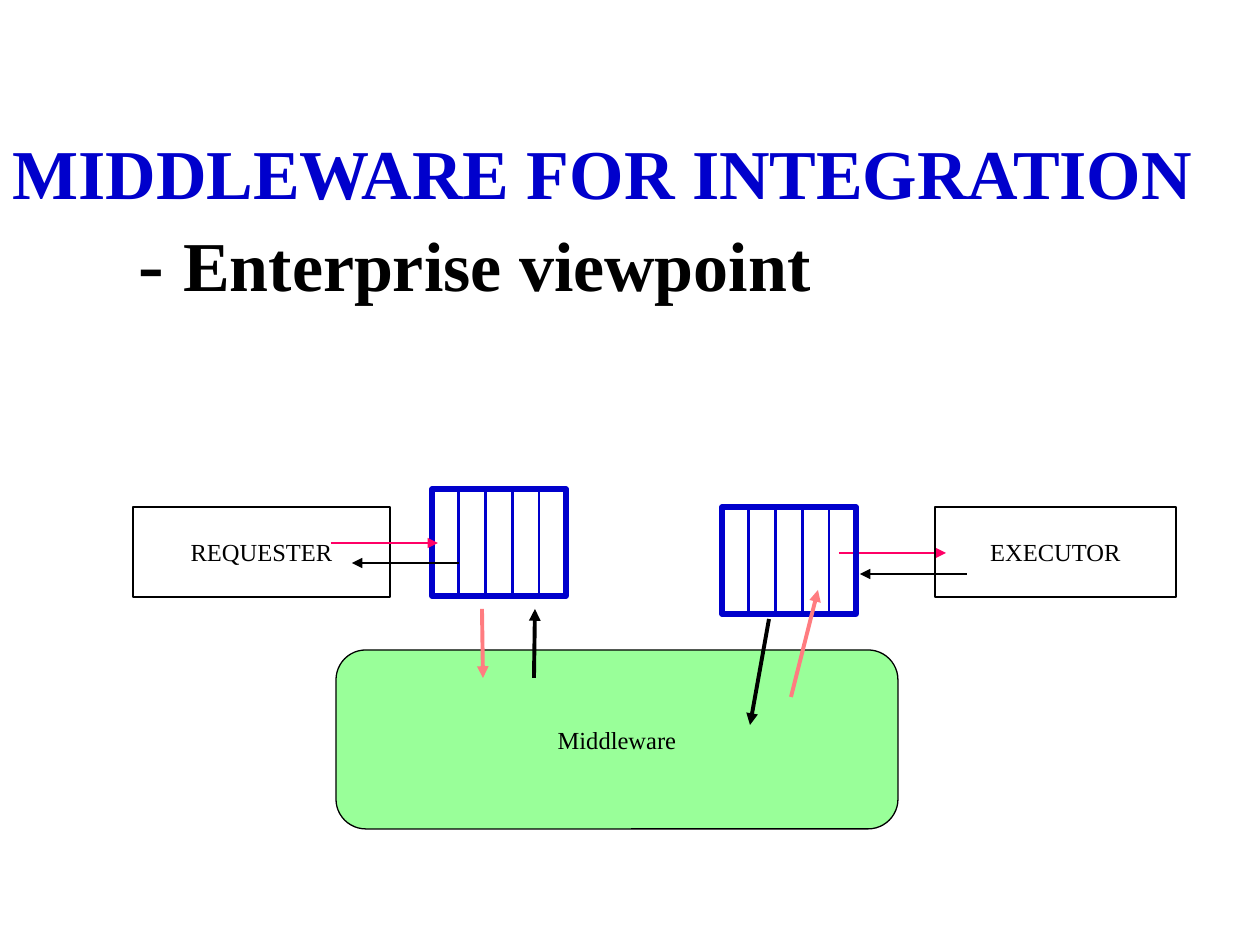
from lxml.etree import SubElement
from pptx import Presentation
from pptx.dml.color import RGBColor
from pptx.enum.shapes import MSO_CONNECTOR, MSO_SHAPE
from pptx.enum.text import MSO_ANCHOR, MSO_AUTO_SIZE, PP_ALIGN
from pptx.oxml.ns import qn
from pptx.util import Emu, Inches, Pt

BLUE = RGBColor(0x00, 0x00, 0xCC)
BLACK = RGBColor(0x00, 0x00, 0x00)
MAGENTA = RGBColor(0xFF, 0x00, 0x66)
SALMON = RGBColor(0xFF, 0x7C, 0x80)
GREEN = RGBColor(0x99, 0xFF, 0x99)

PX_PER_INCH = 126
QUEUE_WIDTH, QUEUE_HEIGHT, QUEUE_CELLS = 134, 107, 5


def px(length):
    return Emu(round(length * Inches(1) / PX_PER_INCH))


class Diagram:
    font_name = "Times New Roman"
    label_size = 14

    def __init__(self, slide):
        self.slide = slide

    def format_run(self, run, size, color, bold=False):
        run.font.name = self.font_name
        run.font.size = Pt(size)
        run.font.bold = bold
        run.font.color.rgb = color

    def title(self, left, top, width, height, parts):
        """Add one paragraph whose parts are (text, size, color)."""
        box = self.slide.shapes.add_textbox(px(left), px(top), px(width), px(height))
        text_frame = box.text_frame
        text_frame.word_wrap = True
        text_frame.auto_size = MSO_AUTO_SIZE.SHAPE_TO_FIT_TEXT
        paragraph = text_frame.paragraphs[0]
        tab_list = SubElement(paragraph._p.get_or_add_pPr(), qn("a:tabLst"))
        for inch in range(8):
            SubElement(tab_list, qn("a:tab"), pos=str(Inches(inch)), algn="l")
        for text, size, color in parts:
            run = paragraph.add_run()
            run.text = text
            self.format_run(run, size, color, bold=True)

    def outline(self, shapes, kind, left, top, width, height, color, weight):
        shape = shapes.add_shape(kind, px(left), px(top), px(width), px(height))
        shape.shadow.inherit = False
        shape.fill.background()
        shape.line.color.rgb = color
        shape.line.width = Pt(weight)
        return shape

    def box(self, kind, left, top, width, height, label, weight=1.5, fill=None):
        shape = self.outline(self.slide.shapes, kind, left, top, width, height, BLACK, weight)
        if fill is not None:
            shape.fill.solid()
            shape.fill.fore_color.rgb = fill
        text_frame = shape.text_frame
        text_frame.text = label
        text_frame.word_wrap = False
        text_frame.vertical_anchor = MSO_ANCHOR.MIDDLE
        paragraph = text_frame.paragraphs[0]
        paragraph.alignment = PP_ALIGN.CENTER
        self.format_run(paragraph.runs[0], self.label_size, BLACK)

    def line(self, shapes, start, end, color, weight):
        connector = shapes.add_connector(
            MSO_CONNECTOR.STRAIGHT, *(px(value) for value in (*start, *end)))
        connector.line.color.rgb = color
        connector.line.width = Pt(weight)
        SubElement(connector._element.spPr, qn("a:effectLst"))
        return connector

    def arrow(self, start, end, color, weight=1.5):
        connector = self.line(self.slide.shapes, start, end, color, weight)
        SubElement(connector.line._get_or_add_ln(), qn("a:tailEnd"), type="triangle")

    def queue(self, left, top):
        """Add a grouped rectangle split into equal cells."""
        shapes = self.slide.shapes.add_group_shape().shapes
        self.outline(shapes, MSO_SHAPE.RECTANGLE, left, top,
                     QUEUE_WIDTH, QUEUE_HEIGHT, BLUE, 3)
        for cell in range(1, QUEUE_CELLS):
            x = left + cell * QUEUE_WIDTH / QUEUE_CELLS
            self.line(shapes, (x, top), (x, top + QUEUE_HEIGHT), BLUE, 1.5)


def main():
    presentation = Presentation()
    presentation.slide_width = Inches(10)
    presentation.slide_height = Inches(7.5)
    diagram = Diagram(presentation.slides.add_slide(presentation.slide_layouts[6]))

    diagram.title(0, 116, 1260, 198, [
        ("MIDDLEWARE FOR INTEGRATION", 40, BLUE),
        (" \t\t\t- ", 44, BLACK),
        ("Enterprise viewpoint", 40, BLACK),
    ])

    diagram.arrow((839, 553), (946, 553), MAGENTA)
    diagram.box(MSO_SHAPE.FLOWCHART_PROCESS, 133, 507, 257, 90, "REQUESTER")
    diagram.queue(432, 489)
    diagram.arrow((331, 543), (438, 543), MAGENTA)
    diagram.box(MSO_SHAPE.FLOWCHART_PROCESS, 935, 507, 241, 90, "EXECUTOR")
    diagram.queue(722, 507)
    diagram.arrow((967, 574), (860, 574), BLACK)
    diagram.arrow((459, 563), (352, 563), BLACK)

    diagram.box(MSO_SHAPE.FLOWCHART_ALTERNATE_PROCESS, 336, 650, 562, 179,
                "Middleware", weight=0.75, fill=GREEN)
    for start, end, color in [
        ((791, 697), (818, 590), SALMON),
        ((769, 619), (750, 725), BLACK),
        ((534, 678), (535, 609), BLACK),
        ((482, 609), (483, 678), SALMON),
    ]:
        diagram.arrow(start, end, color, weight=2.25)

    presentation.save("out.pptx")


if __name__ == "__main__":
    main()
